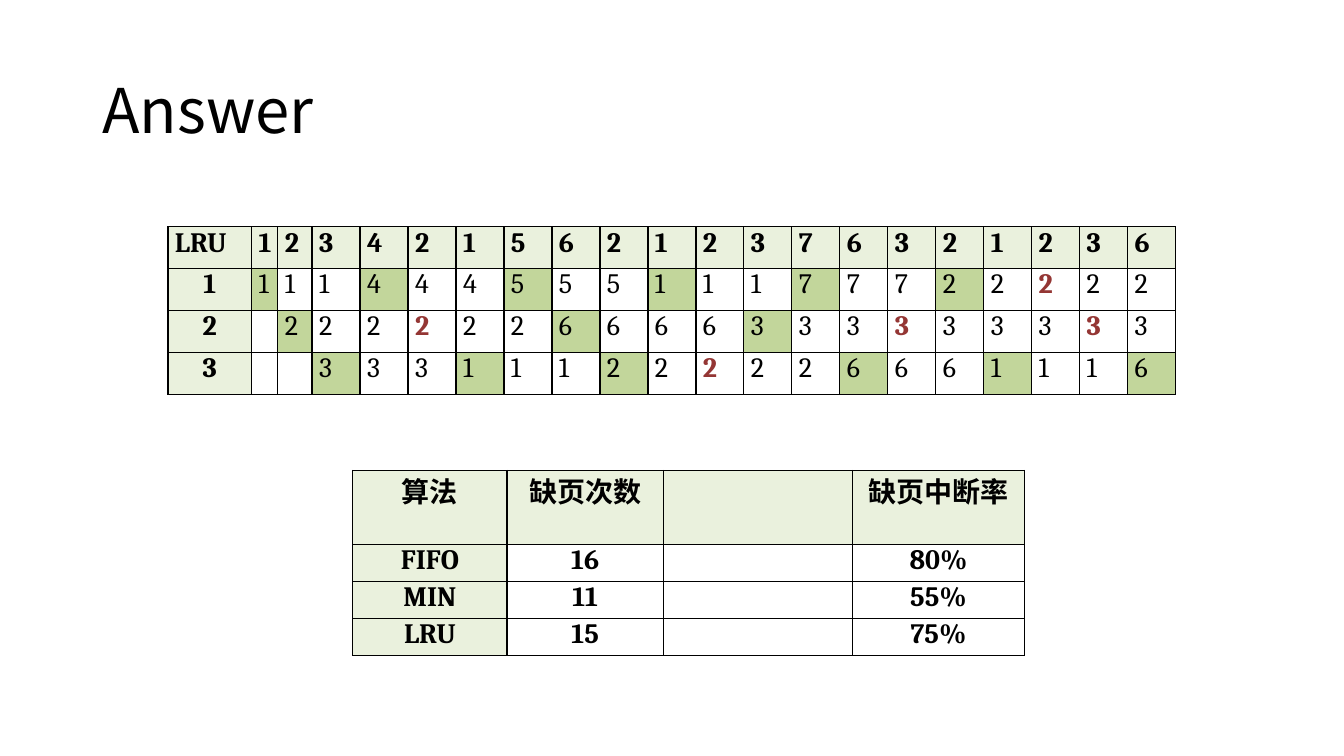
from lxml import etree
from pptx import Presentation
from pptx.dml.color import RGBColor
from pptx.enum import text
from pptx.oxml.ns import qn
from pptx.util import Pt

BLACK, RED = "000000", "943634"
HEADING_FILL, FAULT_FILL = "EAF1DD", "C2D69B"
CENTER, JUSTIFY = text.PP_ALIGN.CENTER, text.PP_ALIGN.JUSTIFY

TITLE = "Answer"
REFERENCES = "12342156212376321236"
FRAMES = [
    "11144455511177722222",
    " 2222226666333333333",
    "  333111222226661116",
]
SUMMARY = [
    ("算法", "缺页次数", "", "缺页中断率"),
    ("FIFO", "16", "", "80%"),
    ("MIN", "11", "", "55%"),
    ("LRU", "15", "", "75%"),
]
TRACE_COLUMNS = [59.76, 18.72, 24.48] + [34.28] * 18
TRACE_ROWS = [30] * 4
SUMMARY_COLUMNS = [110.2, 111.6, 135.4, 122.4]
SUMMARY_ROWS = [52.8, 26.4, 26.4, 26.4]


def color(value):
    return RGBColor.from_string(value)


def set_font(paragraph, name, size, ink=BLACK, bold=False):
    font = paragraph.font
    font.name, font.size, font.bold = name, Pt(size), bold
    font.color.rgb = color(ink)


def add_grid(slide, left, top, widths, heights):
    frame = slide.shapes.add_table(
        len(heights), len(widths), Pt(left), Pt(top), Pt(sum(widths)), Pt(sum(heights))
    )
    table = frame.table
    table.first_row = table.horz_banding = False
    for column, width in zip(table.columns, widths):
        column.width = Pt(width)
    for row, height in zip(table.rows, heights):
        row.height = Pt(height)
    return table


def add_borders(cell):
    properties = cell._tc.get_or_add_tcPr()
    for side in ("a:lnL", "a:lnR", "a:lnT", "a:lnB"):
        line = etree.SubElement(properties, qn(side), w=str(Pt(1)))
        fill = etree.SubElement(line, qn("a:solidFill"))
        etree.SubElement(fill, qn("a:srgbClr"), val=BLACK)


def write_cell(cell, words, align, fill=None, ink=BLACK, bold=True):
    cell.margin_left = cell.margin_right = Pt(5)
    cell.margin_top = cell.margin_bottom = 0
    add_borders(cell)
    if fill:
        cell.fill.solid()
        cell.fill.fore_color.rgb = color(fill)
    else:
        cell.fill.background()
    paragraph = cell.text_frame.paragraphs[0]
    paragraph.text = words
    paragraph.alignment = align
    set_font(paragraph, "Cambria", 20, ink, bold)


def add_title(slide):
    box = slide.shapes.add_textbox(Pt(66), Pt(28.8), Pt(828), Pt(104.4))
    box.text_frame.word_wrap = True
    box.text_frame.vertical_anchor = text.MSO_ANCHOR.MIDDLE
    paragraph = box.text_frame.paragraphs[0]
    paragraph.text = TITLE
    paragraph.line_spacing = 0.9
    set_font(paragraph, "Noto Sans CJK SC", 44)


def add_trace(slide):
    table = add_grid(slide, 120, 162, TRACE_COLUMNS, TRACE_ROWS)
    for column, words in enumerate(["LRU", *REFERENCES]):
        write_cell(table.cell(0, column), words, JUSTIFY, HEADING_FILL)
    for row, pages in enumerate(FRAMES, 1):
        write_cell(table.cell(row, 0), str(row), CENTER, HEADING_FILL)
        previous = " "
        for column, (page, reference) in enumerate(zip(pages, REFERENCES), 1):
            fault = page != previous
            hit = page == reference and not fault
            write_cell(
                table.cell(row, column), page.strip(), JUSTIFY,
                FAULT_FILL if fault else None, RED if hit else BLACK, hit,
            )
            previous = page


def add_summary(slide):
    table = add_grid(slide, 252, 336, SUMMARY_COLUMNS, SUMMARY_ROWS)
    for row, values in enumerate(SUMMARY):
        for column, words in enumerate(values):
            heading = row == 0 or column == 0
            write_cell(table.cell(row, column), words, CENTER, HEADING_FILL if heading else None)


def main():
    presentation = Presentation()
    presentation.slide_width, presentation.slide_height = Pt(960), Pt(540)
    slide = presentation.slides.add_slide(presentation.slide_layouts[6])
    add_title(slide)
    add_trace(slide)
    add_summary(slide)
    presentation.save("out.pptx")


if __name__ == "__main__":
    main()
